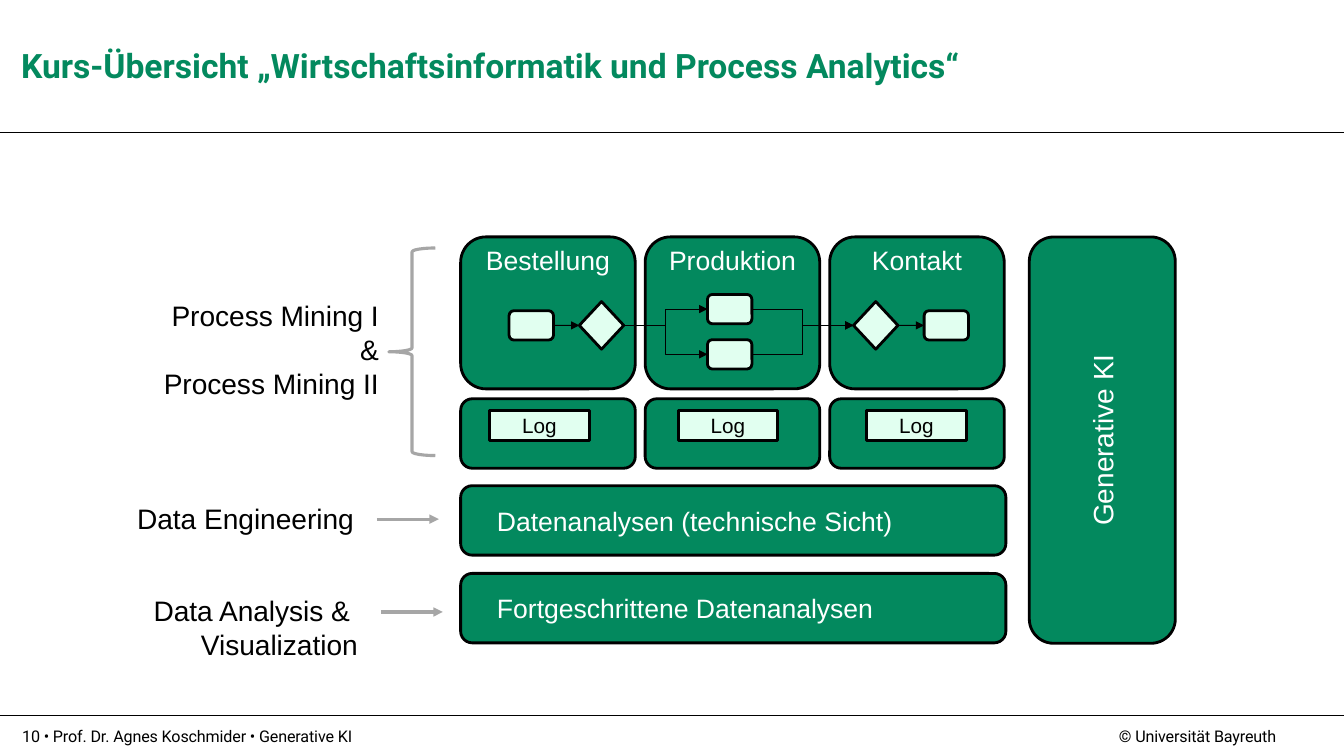
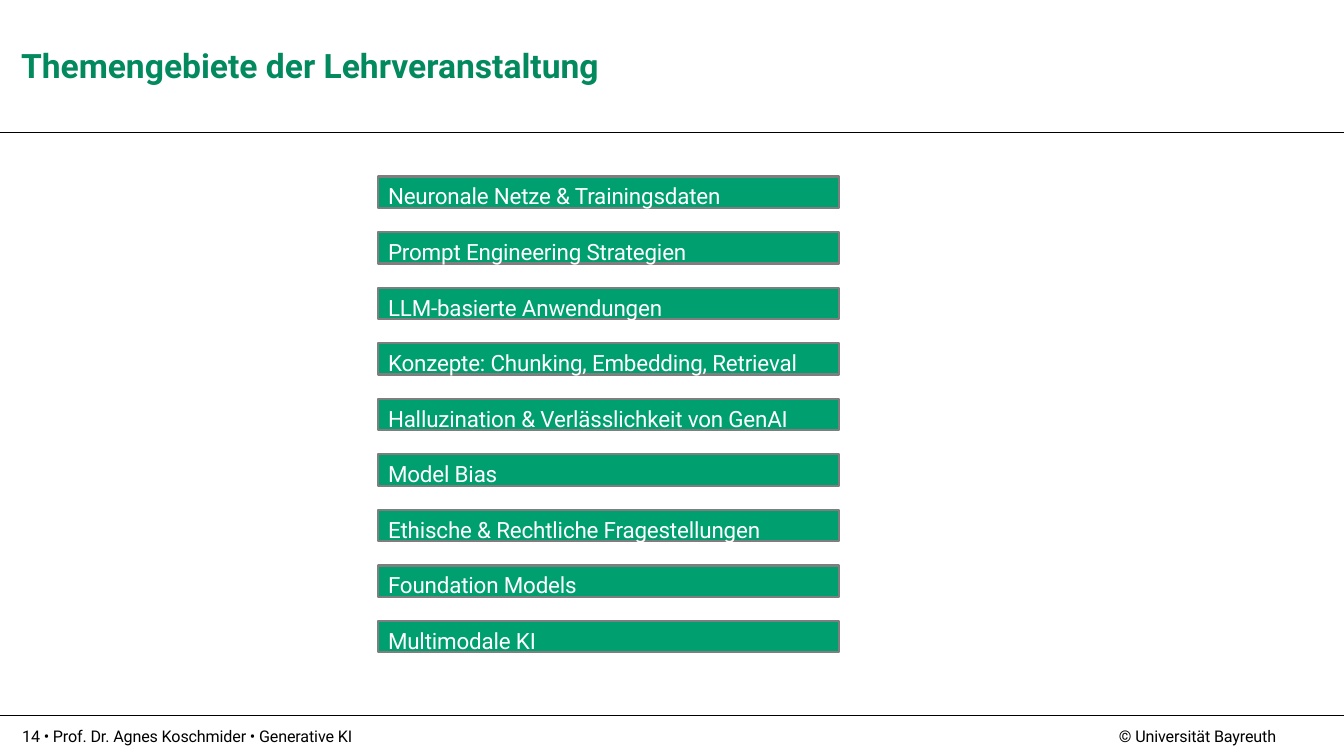
from dataclasses import dataclass
from pptx import Presentation
from pptx.dml.color import RGBColor as Rgb
from pptx.enum.shapes import MSO_CONNECTOR as Link, MSO_SHAPE as Kind
from pptx.enum.text import MSO_ANCHOR as Anchor, MSO_AUTO_SIZE as Fit, PP_ALIGN as Align
from pptx.oxml.ns import qn
from pptx.util import Cm, Pt
from lxml.etree import SubElement as Sub


@dataclass(frozen=True)
class Theme:
    green: str = "03895E"
    leaf: str = "009F6F"
    mint: str = "E1FFF0"
    black: str = "000000"
    white: str = "FFFFFF"
    gray: str = "A6A6A6"
    edge: str = "7E7E7E"
    head: str = "Roboto"
    body: str = "Arial"
    title: float = 24
    label: float = 20.1
    side: float = 20
    lane: float = 19
    topic: float = 16
    log: float = 14.8
    foot: float = 11.5


T = Theme()
WIDE, HIGH = 33.87, 19.05


def write(shape, lines, size, color, font=T.body, align=Align.LEFT,
          anchor=Anchor.TOP, pad=(0, 0, 0, 0), bold=False, tight=False):
    frame = shape.text_frame
    frame.word_wrap = True
    frame.auto_size = Fit.NONE
    frame.vertical_anchor = anchor
    frame.margin_left, frame.margin_top, frame.margin_right, frame.margin_bottom = map(Cm, pad)
    frame.text = lines
    for para in frame.paragraphs:
        para.alignment = align
        para.font.name = font
        para.font.size = Pt(size)
        para.font.bold = bold
        para.font.color.rgb = Rgb.from_string(color)
        if tight:
            para._p.get_or_add_pPr().get_or_add_defRPr().set("spc", "-10")


def note(slide, place, lines, size, **style):
    box = slide.shapes.add_textbox(*map(Cm, place))
    write(box, lines, size, T.black, **style)


def block(slide, kind, place, fill=T.green, line=T.black, width=2):
    shape = slide.shapes.add_shape(kind, *map(Cm, place))
    shape.shadow.inherit = False
    if fill:
        shape.fill.solid()
        shape.fill.fore_color.rgb = Rgb.from_string(fill)
    else:
        shape.fill.background()
    shape.line.color.rgb = Rgb.from_string(line)
    shape.line.width = Pt(width)
    return shape


def stroke(slide, ends, color=T.black, width=0.72, kind=Link.STRAIGHT, arrow=False):
    line = slide.shapes.add_connector(kind, *map(Cm, ends))
    line.line.color.rgb = Rgb.from_string(color)
    line.line.width = Pt(width)
    if arrow:
        Sub(line.line._get_or_add_ln(), qn("a:tailEnd"), type="triangle")
    Sub(line._element.spPr, qn("a:effectLst"))
    return line


def flow(slide, start, end, kind=Link.STRAIGHT):
    line = stroke(slide, (0, 0, 0, 0), width=0.75, kind=kind, arrow=True)
    line.begin_connect(start, 3)
    line.end_connect(end, 1)


def page(deck, title, number):
    slide = deck.slides.add_slide(deck.slide_layouts[5])
    head = slide.shapes.title
    head.left, head.top, head.width, head.height = map(Cm, (0.53, 1.12, 29.74, 1.02))
    write(head, title, T.title, T.green, T.head, bold=True)
    for y in (3.33, 18.03):
        stroke(slide, (0, y, WIDE, y))
    foot = f"{number} • Prof. Dr. Agnes Koschmider • Generative KI"
    for x, width, text in ((0.56, 16.5, foot), (28.2, 5.15, "© Universität Bayreuth")):
        note(slide, (x, 18.31, width, 0.48), text, T.foot, font=T.head, tight=True)
    return slide


def lanes(slide):
    for i, name in enumerate(("Bestellung", "Produktion", "Kontakt")):
        x = 11.61 + 4.65 * i
        lane = block(slide, Kind.ROUNDED_RECTANGLE, (x, 5.97, 4.4, 3.83))
        write(lane, name, T.lane, T.white, align=Align.CENTER)
        block(slide, Kind.ROUNDED_RECTANGLE, (x, 10.05, 4.4, 1.75))
        log = block(slide, Kind.RECTANGLE, (12.34 + 4.75 * i, 10.34, 2.51, 0.76), T.mint)
        write(log, "Log", T.log, T.black, align=Align.CENTER, anchor=Anchor.MIDDLE)


def model(slide):
    def task(x, mid):
        return block(slide, Kind.ROUNDED_RECTANGLE, (x, mid - 0.37, 1.12, 0.74), T.mint)

    def gate(x, mid):
        return block(slide, Kind.DIAMOND, (x, mid - 0.6, 1.12, 1.2), T.mint)

    mid = 8.2
    first, last = task(12.83, mid), task(23.29, mid)
    split, join = gate(14.6, mid), gate(21.51, mid)
    flow(slide, first, split)
    for y in (7.79, 8.93):
        step = task(17.83, y)
        flow(slide, split, step, Link.ELBOW)
        flow(slide, step, join, Link.ELBOW)
    flow(slide, join, last)


def course(deck):
    slide = page(deck, "Kurs-Übersicht „Wirtschaftsinformatik und Process Analytics“", 10)
    lanes(slide)
    model(slide)
    for y, name in ((12.24, "Datenanalysen (technische Sicht)"),
                    (14.45, "Fortgeschrittene Datenanalysen")):
        bar = block(slide, Kind.ROUNDED_RECTANGLE, (11.61, y, 13.74, 1.75))
        write(bar, name, T.lane, T.white, anchor=Anchor.MIDDLE, pad=(0.83, 0, 0, 0))
    for right, y, high, text in (
            (9.8, 7.39, 2.84, "Process Mining I\v&\nProcess Mining II"),
            (9.17, 12.5, 1.12, "Data Engineering"),
            (9.27, 14.83, 1.98, "Data Analysis & \vVisualization")):
        note(slide, (2.5, y, right - 2.5, high), text, T.label,
             align=Align.RIGHT, pad=(0.25, 0.13, 0.25, 0.13))
    for x, y in ((9.5, 13.08), (9.6, 15.42)):
        stroke(slide, (x, y, x + 1.56, y), T.gray, 2.25, arrow=True)
    block(slide, Kind.LEFT_BRACE, (9.8, 6.25, 1.17, 5.23), None, T.gray, 2.25)
    tower = block(slide, Kind.ROUNDED_RECTANGLE, (22.66, 9.25, 10.24, 3.68))
    tower.rotation = 270
    write(tower, "Generative KI", T.side, T.white, align=Align.CENTER, anchor=Anchor.MIDDLE)


def topics(deck):
    slide = page(deck, "Themengebiete der Lehrveranstaltung", 14)
    names = (
        "Neuronale Netze & Trainingsdaten",
        "Prompt Engineering Strategien",
        "LLM-basierte Anwendungen",
        "Konzepte: Chunking, Embedding, Retrieval",
        "Halluzination & Verlässlichkeit von GenAI",
        "Model Bias",
        "Ethische & Rechtliche Fragestellungen",
        "Foundation Models",
        "Multimodale KI",
    )
    for i, name in enumerate(names):
        bar = block(slide, Kind.RECTANGLE, (9.53, 4.45 + 1.4 * i, 11.61, 0.79), T.leaf, T.edge, 1.56)
        write(bar, name, T.topic, T.white, T.head, pad=(0.25, 0.15, 0, 0), tight=True)


def main():
    deck = Presentation()
    deck.slide_width, deck.slide_height = Cm(WIDE), Cm(HIGH)
    course(deck)
    topics(deck)
    deck.save("out.pptx")


if __name__ == "__main__":
    main()
